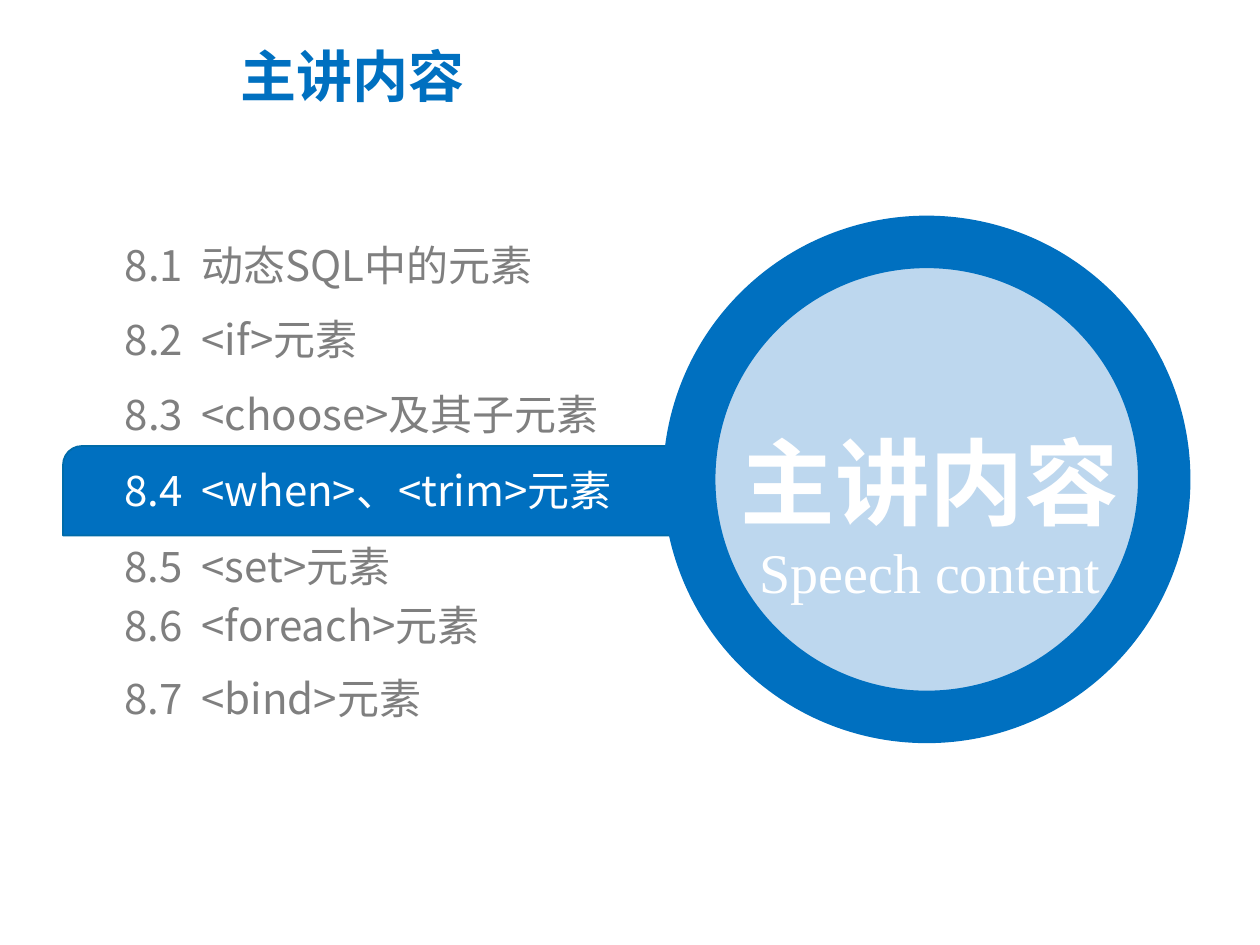
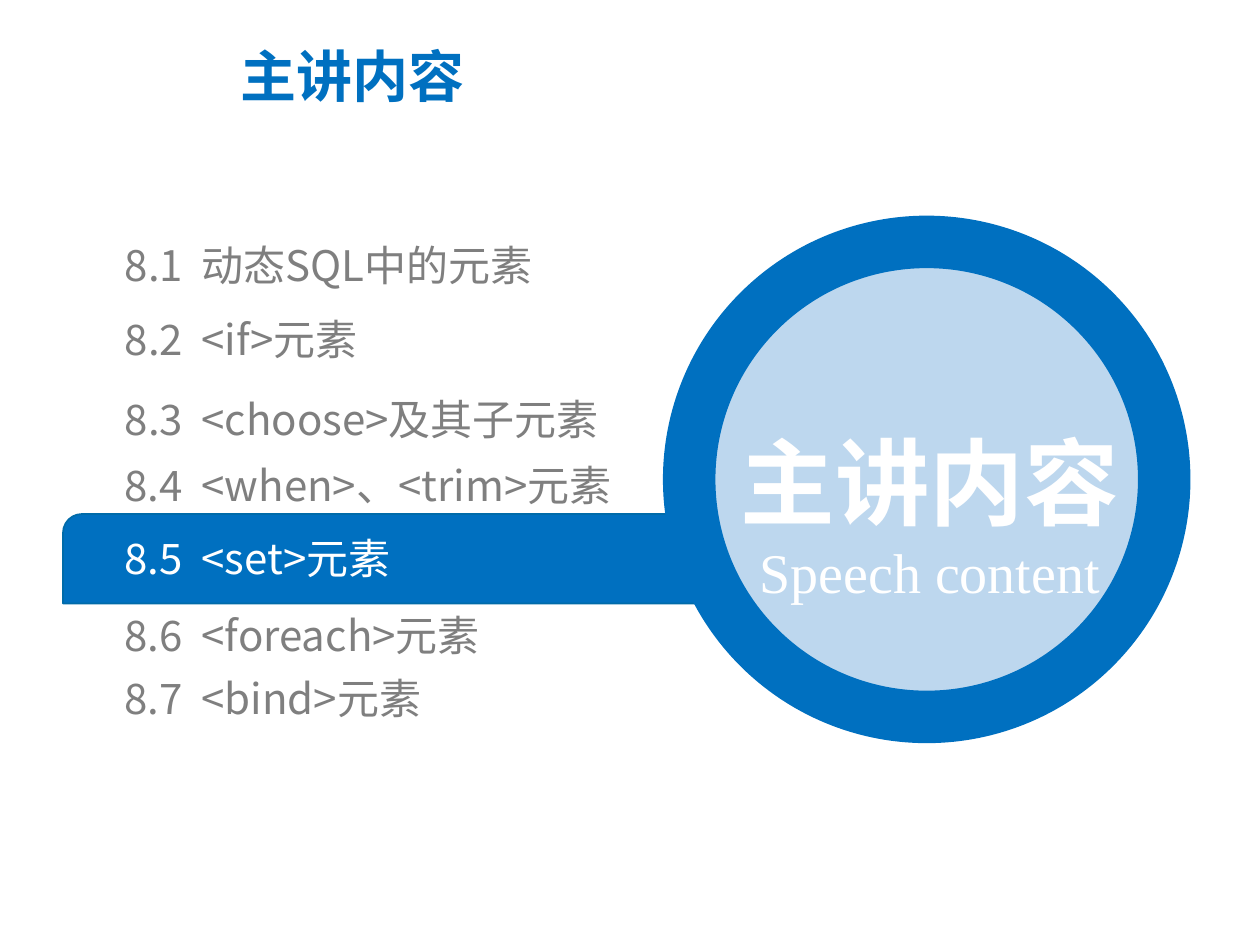
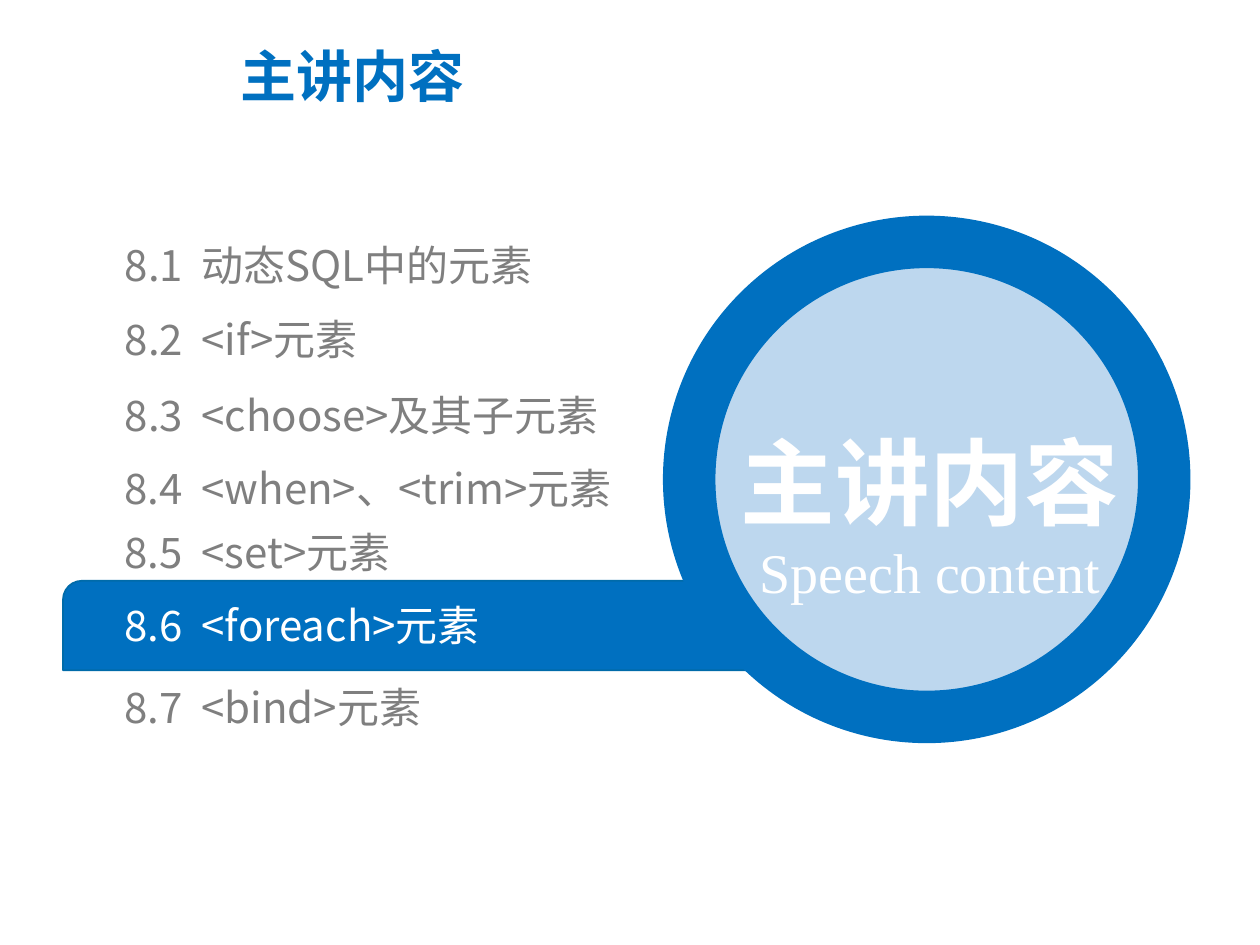
from lxml import etree
from pptx import Presentation, util as u
from pptx.dml.color import RGBColor
from pptx.enum import shapes, text
from pptx.oxml import ns

COLS, ROWS = 20, 15
HEADING = "主讲内容"

# Section number, name, label width in columns
SECTIONS = [
    ("8.1", "动态SQL中的元素", 10.7),
    ("8.2", "<if>元素", 9.24),
    ("8.3", "<choose>及其子元素", 17.64),
    ("8.4", "<when>、<trim>元素", 8.72),
    ("8.5", "<set>元素", 8.72),
    ("8.6", "<foreach>元素", 8.72),
    ("8.7", "<bind>元素", 8.72),
]
# Current section: label rows, which make room for the highlight bar
AGENDAS = {
    "8.4": (3.8, 4.98, 6.16, 7.38, 8.58, 9.52, 10.68),
    "8.5": (3.8, 4.98, 6.24, 7.3, 8.46, 9.68, 10.68),
    "8.6": (3.8, 4.98, 6.18, 7.34, 8.36, 9.52, 10.82),
}


def color(hex_code):
    return RGBColor.from_string(hex_code)


def write(paragraph, words, *, size, ink, font="Noto Sans CJK SC", bold=False,
          align=text.PP_ALIGN.LEFT, spacing=1.0):
    paragraph.alignment = align
    paragraph.line_spacing = spacing
    run = paragraph.add_run()
    run.text = words
    run.font.size = u.Pt(size)
    run.font.bold = bold
    run.font.name = font
    run.font.color.rgb = color(ink)
    east_asian = etree.SubElement(run.font._element, ns.qn("a:ea"))
    east_asian.set("typeface", font)


def add_tab_stop(paragraph, position):
    stops = etree.SubElement(paragraph._p.get_or_add_pPr(), ns.qn("a:tabLst"))
    etree.SubElement(stops, ns.qn("a:tab"), pos=str(position), algn="l")


class Deck:
    BLUE, EDGE, PALE = "0070C0", "006BA9", "BDD7EE"
    WHITE, GRAY = "FFFFFF", "7F7F7F"

    def __init__(self):
        self.prs = Presentation()
        self.prs.slide_width, self.prs.slide_height = u.Inches(10), u.Inches(7.5)
        self.slide = None

    def cells(self, left, top, width, height):
        """Turn columns and rows into slide lengths."""
        col, row = self.prs.slide_width / COLS, self.prs.slide_height / ROWS
        return [round(n) for n in (left * col, top * row, width * col, height * row)]

    def new_slide(self, heading):
        self.slide = self.prs.slides.add_slide(self.prs.slide_layouts[5])
        title = self.slide.shapes.title
        title.left, title.top, title.width, title.height = self.cells(3.62, 0.68, 12.3, 1.7)
        frame = title.text_frame
        frame.auto_size = text.MSO_AUTO_SIZE.NONE
        frame.vertical_anchor = text.MSO_ANCHOR.TOP
        write(frame.paragraphs[0], heading, size=32, ink=self.BLUE, bold=True, spacing=0.9)

    def figure(self, preset, place, fill, edge, weight):
        shape = self.slide.shapes.add_shape(preset, *self.cells(*place))
        shape.shadow.inherit = False
        shape.fill.solid()
        shape.fill.fore_color.rgb = color(fill)
        shape.line.color.rgb = color(edge)
        shape.line.width = u.Pt(weight)
        return shape

    def text_box(self, place, inset=True):
        frame = self.slide.shapes.add_textbox(*self.cells(*place)).text_frame
        frame.word_wrap = True
        frame.auto_size = text.MSO_AUTO_SIZE.SHAPE_TO_FIT_TEXT
        frame.vertical_anchor = text.MSO_ANCHOR.MIDDLE
        if not inset:
            frame.margin_left = frame.margin_right = 0
            frame.margin_top = frame.margin_bottom = 0
        return frame

    def highlight(self, label_row):
        bar = self.figure(shapes.MSO_SHAPE.ROUND_2_DIAG_RECTANGLE,
                          (1, label_row - 0.3, 13.76, 1.42), self.BLUE, self.EDGE, 1)
        bar.adjustments[0] = 0.21

    def badge(self):
        self.figure(shapes.MSO_SHAPE.OVAL, (10.94, 3.84, 7.54, 7.54),
                    self.PALE, self.BLUE, 30)
        caption = self.text_box((10.86, 5.72, 7.8, 3.98))
        centered = {"ink": self.WHITE, "align": text.PP_ALIGN.CENTER}
        write(caption.paragraphs[0], HEADING, size=54, bold=True, spacing=1.5, **centered)
        write(caption.add_paragraph(), "Speech content", size=32,
              font="Times New Roman", **centered)

    def section(self, number, name, width, row, current):
        label = self.text_box((1.98, row, width, 0.8), inset=False).paragraphs[0]
        write(label, f"{number}\t{name}", size=24,
              ink=self.WHITE if current else self.GRAY)
        add_tab_stop(label, u.Inches(0.61))

    def agenda(self, current, rows):
        self.new_slide(HEADING)
        numbers = [number for number, _, _ in SECTIONS]
        self.highlight(rows[numbers.index(current)])
        self.badge()
        for (number, name, width), row in zip(SECTIONS, rows):
            self.section(number, name, width, row, number == current)


def main():
    deck = Deck()
    for current, rows in AGENDAS.items():
        deck.agenda(current, rows)
    deck.prs.save("out.pptx")


if __name__ == "__main__":
    main()
